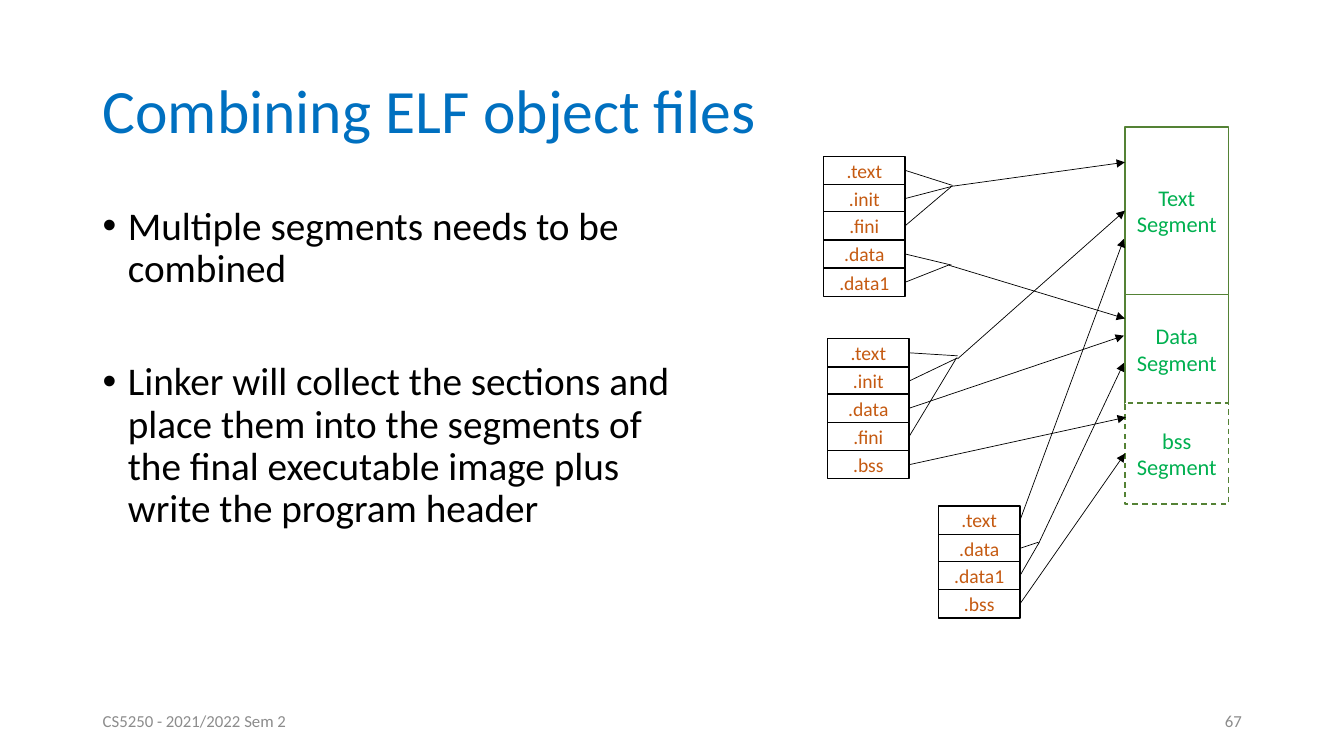
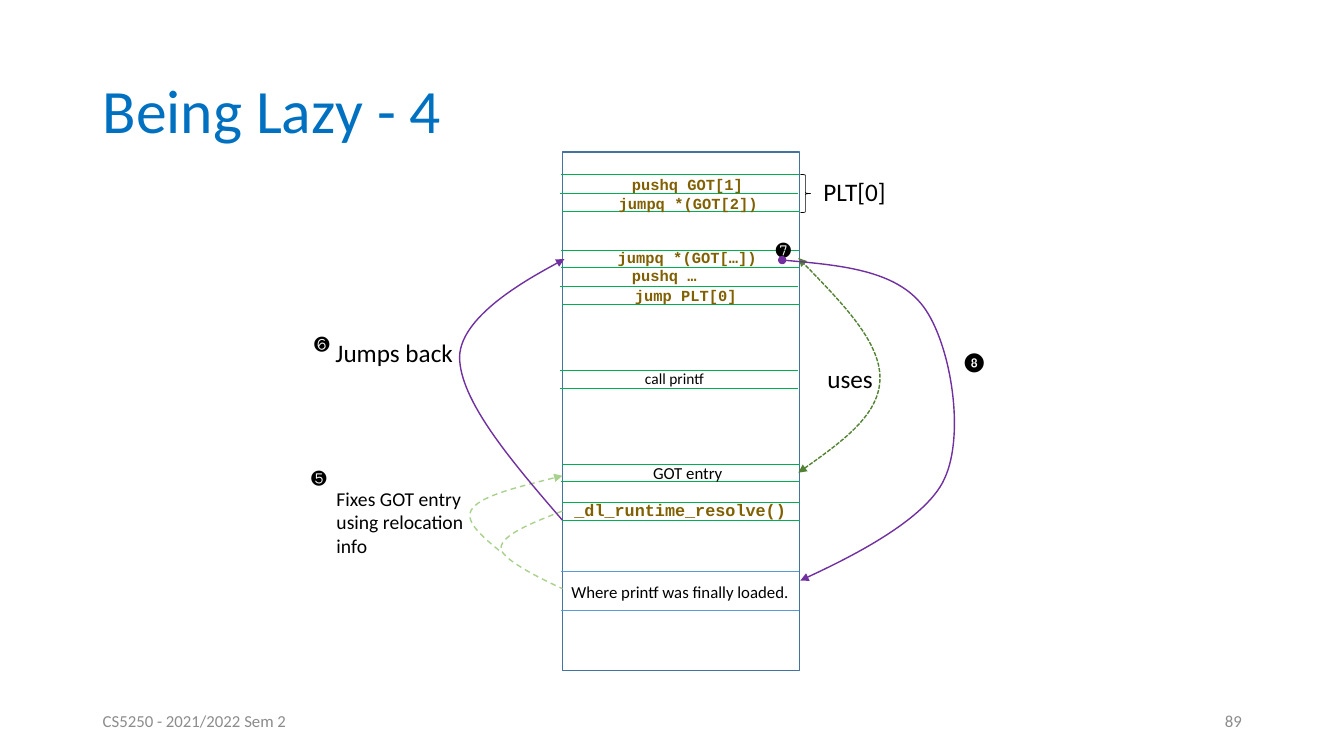
from dataclasses import dataclass
from typing import Optional, Union

from lxml.etree import SubElement
from pptx import Presentation
from pptx.dml.color import RGBColor
from pptx.enum.dml import MSO_LINE
from pptx.enum.shapes import MSO_CONNECTOR, MSO_SHAPE
from pptx.enum.text import MSO_ANCHOR, MSO_AUTO_SIZE, PP_ALIGN
from pptx.oxml.ns import qn
from pptx.slide import Slide
from pptx.util import Emu, Pt

# Shared style
BLACK, WHITE, GREY = "000000", "FFFFFF", "8C8C8C"
TITLE_BLUE, FRAME_BLUE, LOAD_BLUE = "0070C0", "43739E", "5B9BD5"
GREEN, DARK_GREEN, PALE_GREEN = "00B050", "548235", "A9D18E"
ORANGE, BROWN, PURPLE = "C55A11", "806000", "7030A0"
SANS, MONO = "Calibri", "Courier New"
FOOTER = "CS5250 - 2021/2022 Sem 2"
Point = tuple[int, int]


def px(length: float) -> Emu:
    """100 px make one inch."""
    return Emu(round(length * 9144))


def rgb(colour: str) -> RGBColor:
    return RGBColor.from_string(colour)


@dataclass(frozen=True)
class Box:
    left: int
    top: int
    width: int
    height: int

    def emu(self) -> tuple[Emu, ...]:
        return px(self.left), px(self.top), px(self.width), px(self.height)


@dataclass(frozen=True)
class TextStyle:
    size: int
    colour: str = BLACK
    font: str = SANS
    bold: bool = False
    align: PP_ALIGN = PP_ALIGN.LEFT


@dataclass(frozen=True)
class Stroke:
    colour: str
    width: float = 1
    dash: Optional[MSO_LINE] = None
    head: str = ""
    tail: str = ""


@dataclass(frozen=True)
class Label:
    text: str
    box: Box
    style: TextStyle


@dataclass(frozen=True)
class ObjectFile:
    name: str
    left: int
    top: int
    sections: tuple[str, ...]


@dataclass(frozen=True)
class Segment:
    name: str
    top: int
    height: int
    dash: Optional[MSO_LINE] = None


@dataclass(frozen=True)
class Wire:
    """Each end is a point or the key of a section or segment."""
    start: Union[str, Point]
    end: Union[str, Point]
    arrow: bool = False


@dataclass(frozen=True)
class Curve:
    """The extent, then a start point and three Bézier points for each arc."""
    box: Box
    points: tuple[Point, ...]
    stroke: Stroke


# Drawing helpers
def apply_stroke(line, stroke: Stroke) -> None:
    line.color.rgb = rgb(stroke.colour)
    line.width = Pt(stroke.width)
    if stroke.dash is not None:
        line.dash_style = stroke.dash
    for tag, kind in (("a:headEnd", stroke.head), ("a:tailEnd", stroke.tail)):
        if kind:
            SubElement(line._get_or_add_ln(), qn(tag)).set("type", kind)


def write(frame, text: str, style: TextStyle) -> None:
    frame.text = text
    for paragraph in frame.paragraphs:
        paragraph.alignment = style.align
        font = paragraph.font
        font.size, font.name, font.bold = Pt(style.size), style.font, style.bold
        font.color.rgb = rgb(style.colour)


def add_text(slide: Slide, label: Label, wrap: bool = True,
             anchor: MSO_ANCHOR = MSO_ANCHOR.TOP):
    frame = slide.shapes.add_textbox(*label.box.emu()).text_frame
    frame.word_wrap = wrap
    frame.auto_size = MSO_AUTO_SIZE.NONE if wrap else MSO_AUTO_SIZE.SHAPE_TO_FIT_TEXT
    frame.vertical_anchor = anchor
    write(frame, label.text, label.style)
    return frame


def add_preset(slide: Slide, preset: MSO_SHAPE, box: Box, stroke: Stroke,
               fill: str = ""):
    shape = slide.shapes.add_shape(preset, *box.emu())
    shape.shadow.inherit = False
    if fill:
        shape.fill.solid()
        shape.fill.fore_color.rgb = rgb(fill)
    else:
        shape.fill.background()
    apply_stroke(shape.line, stroke)
    return shape


def add_cell(slide: Slide, box: Box, stroke: Stroke, text: str, style: TextStyle):
    cell = add_preset(slide, MSO_SHAPE.RECTANGLE, box, stroke, WHITE)
    frame = cell.text_frame
    frame.margin_left = frame.margin_right = frame.margin_top = frame.margin_bottom = 0
    frame.vertical_anchor = MSO_ANCHOR.MIDDLE
    write(frame, text, style)
    return cell


def add_line(slide: Slide, start: Point, end: Point, stroke: Stroke):
    line = slide.shapes.add_connector(
        MSO_CONNECTOR.STRAIGHT, *(px(value) for value in (*start, *end)))
    apply_stroke(line.line, stroke)
    SubElement(line._element.spPr, qn("a:effectLst"))
    return line


def add_curve(slide: Slide, curve: Curve) -> None:
    left, top, width, height = curve.box.emu()
    builder = slide.shapes.build_freeform(left, top, scale=1.0)
    builder.add_line_segments([(left + width, top + height)], close=False)
    shape = builder.convert_to_shape()
    # Bézier arcs take the place of the diagonal that set the extent
    outline = next(shape._element.iter(qn("a:path")))
    for segment in list(outline):
        outline.remove(segment)
    for index, (x, y) in enumerate(curve.points):
        if index == 0:
            segment = SubElement(outline, qn("a:moveTo"))
        elif index % 3 == 1:
            segment = SubElement(outline, qn("a:cubicBezTo"))
        point = SubElement(segment, qn("a:pt"))
        point.set("x", str(px(x) - left))
        point.set("y", str(px(y) - top))
    shape.shadow.inherit = False
    shape.fill.background()
    apply_stroke(shape.line, curve.stroke)


def add_base(deck, title: str, number: int) -> Slide:
    slide = deck.slides.add_slide(deck.slide_layouts[6])
    heading = add_text(slide, Label(title, Box(92, 40, 1150, 145),
                                    TextStyle(44, TITLE_BLUE)), anchor=MSO_ANCHOR.MIDDLE)
    heading.paragraphs[0].line_spacing = 0.9
    for text, left, align in ((FOOTER, 92, PP_ALIGN.LEFT), (str(number), 942, PP_ALIGN.RIGHT)):
        add_text(slide, Label(text, Box(left, 695, 300, 40),
                              TextStyle(12, GREY, align=align)), anchor=MSO_ANCHOR.MIDDLE)
    return slide


# Combining object files
POINTS = (
    "Multiple segments needs to be combined",
    "Linker will collect the sections and place them into the segments of "
    "the final executable image plus write the program header",
)
OBJECT_FILES = (
    ObjectFile("A", 817, 155, (".text", ".init", ".fini", ".data", ".data1")),
    ObjectFile("B", 821, 336, (".text", ".init", ".data", ".fini", ".bss")),
    ObjectFile("C", 931, 502, (".text", ".data", ".data1", ".bss")),
)
SEGMENTS = (
    Segment("Text", 126, 166),
    Segment("Data", 292, 109),
    Segment("bss", 400, 100, MSO_LINE.DASH),
)
WIRES = (
    Wire("A.text", (945, 184)), Wire("A.init", (944, 185)), Wire("A.fini", (944, 185)),
    Wire((943, 185), (1116, 161), True),
    Wire("A.data", (944, 263)), Wire("A.data1", (941, 263)),
    Wire((941, 263), (1116, 316), True),
    Wire("B.data", (1115, 333), True), Wire("B.bss", (1117, 414), True),
    Wire("C.text", (1115, 237), True),
    Wire("B.text", (950, 353)), Wire("B.init", (950, 355)), Wire("B.fini", (949, 355)),
    Wire((950, 356), "Text", True),
    Wire("C.bss", "bss", True),
    Wire("C.data", (1030, 538)), Wire("C.data1", (1031, 538)),
    Wire((1030, 540), (1115, 360), True),
)
SECTION_PITCH = 27.7


def add_bullets(slide: Slide) -> None:
    frame = add_text(slide, Label("\n".join(POINTS), Box(92, 200, 585, 476), TextStyle(28)))
    for paragraph, space in zip(frame.paragraphs, (10, 50.4)):
        paragraph.line_spacing = 0.9
        paragraph.space_before = Pt(space)
        properties = paragraph._p.get_or_add_pPr()
        properties.set("marL", str(px(25)))
        properties.set("indent", str(px(-25)))
        for tag, key, value in (("a:buFont", "typeface", "Arial"), ("a:buChar", "char", "•")):
            bullet = SubElement(properties, qn(tag))
            bullet.set(key, value)
            properties.insert_element_before(bullet, "a:defRPr")


def build_combining(deck) -> None:
    slide = add_base(deck, "Combining ELF object files", 67)
    add_bullets(slide)
    cells = {}
    section_style = TextStyle(14, ORANGE, align=PP_ALIGN.CENTER)
    for file in OBJECT_FILES:
        for row, section in enumerate(file.sections):
            box = Box(file.left, file.top + round(row * SECTION_PITCH), 81, 28)
            cells[file.name + section] = add_cell(
                slide, box, Stroke(BLACK), section, section_style)
    for segment in SEGMENTS:
        cells[segment.name] = add_cell(
            slide, Box(1116, segment.top, 103, segment.height),
            Stroke(DARK_GREEN, dash=segment.dash), f"{segment.name}\nSegment",
            TextStyle(16, GREEN, align=PP_ALIGN.CENTER))
    for wire in WIRES:
        ends = [(0, 0) if isinstance(end, str) else end for end in (wire.start, wire.end)]
        line = add_line(slide, *ends,
                        Stroke(BLACK, 0.5, tail="triangle" if wire.arrow else ""))
        if isinstance(wire.start, str):
            line.begin_connect(cells[wire.start], 3)
        if isinstance(wire.end, str):
            line.end_connect(cells[wire.end], 1)


# Lazy binding: left end and height of each row rule
RULES = {
    LOAD_BLUE: ((557, 606), (557, 567)),
    GREEN: ((556, 367), (556, 385), (558, 302), (556, 284), (557, 248), (557, 265),
            (558, 461), (557, 478), (558, 210), (556, 192), (557, 173), (558, 498), (558, 516)),
}
CODE, CODE_LARGE = (TextStyle(size, BROWN, MONO, True) for size in (11, 12))
STEP, NOTE = TextStyle(18, font=MONO), TextStyle(18)
LABELS = (
    Label("Where printf was finally loaded.", Box(557, 572, 238, 30), TextStyle(12)),
    Label("call printf", Box(630, 361, 79, 29), TextStyle(11)),
    Label("GOT entry", Box(638, 454, 98, 30), TextStyle(12)),
    Label("jumpq *(GOT[…])", Box(603, 241, 160, 29), CODE),
    Label("PLT[0]", Box(807, 170, 83, 40), NOTE),
    Label("_dl_runtime_resolve()", Box(560, 491, 234, 30), CODE_LARGE),
    Label("pushq GOT[1]", Box(617, 169, 132, 29), CODE),
    Label("jumpq *(GOT[2])", Box(604, 188, 160, 29), CODE),
    Label("pushq …", Box(617, 259, 85, 29), CODE),
    Label("jump PLT[0]", Box(620, 279, 122, 29), CODE),
    Label("uses", Box(811, 356, 66, 40), NOTE),
    Label("❼", Box(760, 224, 40, 40), STEP),
    Label("❽", Box(944, 342, 46, 34), TextStyle(14)),
    Label("❺", Box(299, 450, 40, 40), STEP),
    Label("Fixes GOT entry\nusing relocation\ninfo", Box(324, 478, 150, 81), TextStyle(14)),
    Label("❻", Box(302, 317, 40, 40), STEP),
    Label("Jumps back", Box(323, 330, 138, 40), NOTE),
)
CURVES = (
    Curve(Box(792, 256, 81, 214),
          ((792, 469), (833, 440), (873, 411), (873, 375), (873, 339), (833, 298), (792, 256)),
          Stroke(DARK_GREEN, 1, MSO_LINE.SQUARE_DOT, "triangle", "triangle")),
    Curve(Box(776, 258, 171, 318),
          ((776, 258), (832, 263), (889, 268), (916, 304), (943, 340), (958, 430), (937, 475),
           (917, 520), (794, 576), (794, 576)), Stroke(PURPLE, head="oval", tail="triangle")),
    Curve(Box(497, 507, 61, 77),
          ((558, 507), (527, 519), (497, 531), (497, 544), (497, 557), (558, 584), (558, 584)),
          Stroke(PALE_GREEN, 1, MSO_LINE.DASH)),
    Curve(Box(466, 472, 92, 74),
          ((495, 546), (477, 531), (459, 516), (469, 504), (480, 491), (519, 482), (558, 472)),
          Stroke(PALE_GREEN, 1, MSO_LINE.DASH, tail="triangle")),
    Curve(Box(456, 257, 103, 259),
          ((558, 516), (507, 457), (456, 397), (456, 354), (457, 311), (560, 257), (560, 257)),
          Stroke(PURPLE, tail="triangle")),
)


def build_lazy(deck) -> None:
    slide = add_base(deck, "Being Lazy - 4", 89)
    add_preset(slide, MSO_SHAPE.RECTANGLE, Box(558, 151, 235, 514), Stroke(FRAME_BLUE), WHITE)
    for colour, starts in RULES.items():
        for left, y in starts:
            add_line(slide, (left, y), (left + 236, y), Stroke(colour, 0.5))
    add_preset(slide, MSO_SHAPE.RIGHT_BRACE, Box(794, 173, 10, 38), Stroke(BLACK, 0.5))
    for label in LABELS:
        add_text(slide, label, wrap=False)
    for curve in CURVES:
        add_curve(slide, curve)


def main() -> None:
    deck = Presentation()
    deck.slide_width, deck.slide_height = px(750 * 16 / 9), px(750)
    build_combining(deck)
    build_lazy(deck)
    deck.save("out.pptx")


if __name__ == "__main__":
    main()
